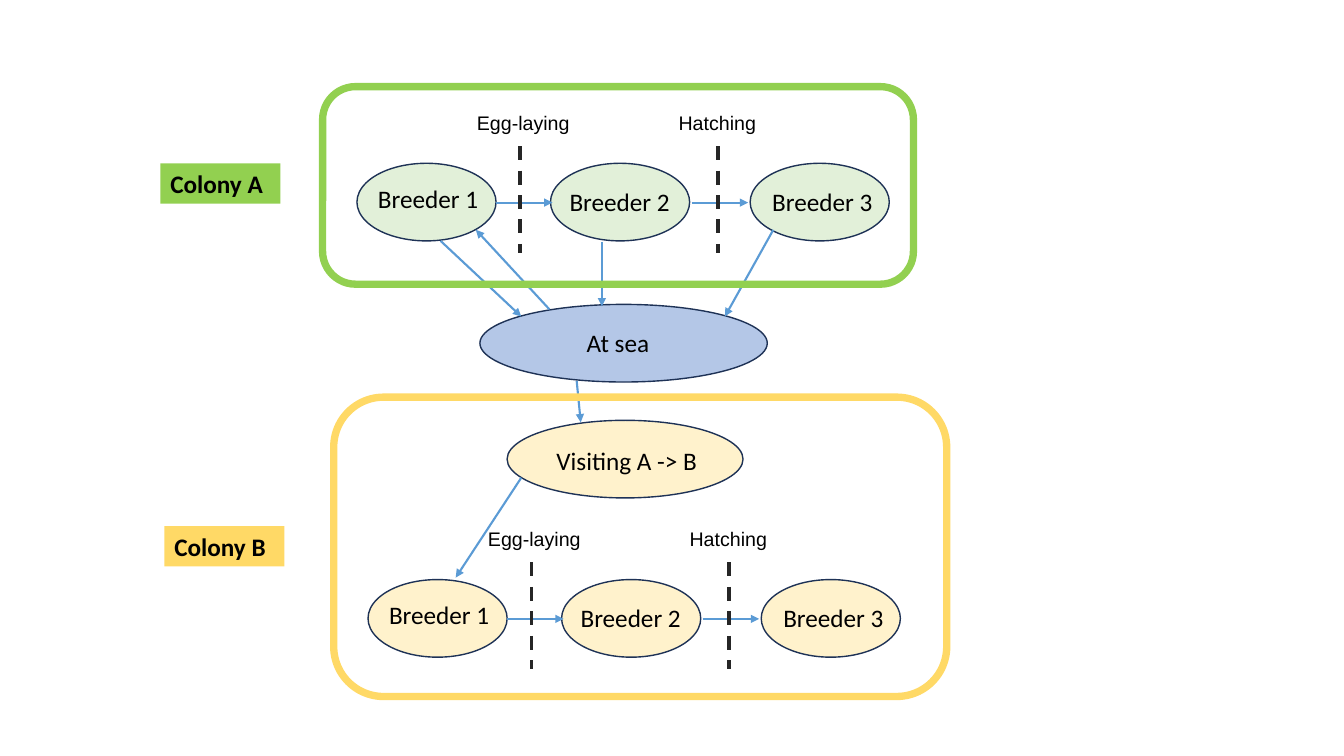
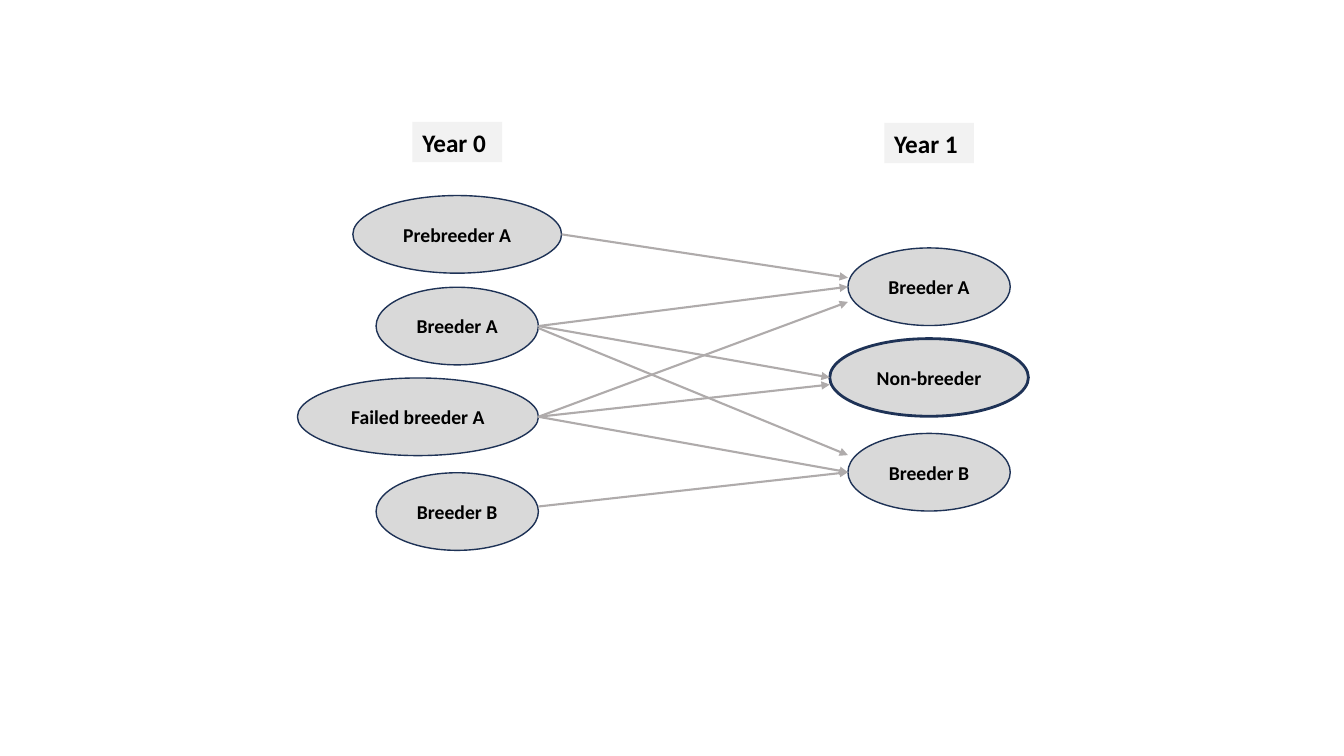
import pptx
import pptx.util
import pptx.dml.color
import pptx.enum.dml
import pptx.enum.shapes
import pptx.enum.text
import pptx.oxml.ns
import lxml.etree

Inches = pptx.util.Inches
Pt = pptx.util.Pt
RGBColor = pptx.dml.color.RGBColor
SHAPE = pptx.enum.shapes.MSO_SHAPE

BLACK = RGBColor(0x00, 0x00, 0x00)
NAVY = RGBColor(0x1E, 0x32, 0x56)
CHARCOAL = RGBColor(0x26, 0x26, 0x26)
ARROW_BLUE = RGBColor(0x5B, 0x9B, 0xD5)
ARROW_GREY = RGBColor(0xAF, 0xAB, 0xAB)
GREEN = RGBColor(0x92, 0xD0, 0x50)
PALE_GREEN = RGBColor(0xE2, 0xF0, 0xD9)
YELLOW = RGBColor(0xFF, 0xD9, 0x66)
PALE_YELLOW = RGBColor(0xFF, 0xF2, 0xCC)
SEA_BLUE = RGBColor(0xB4, 0xC7, 0xE7)
STATE_GREY = RGBColor(0xD9, 0xD9, 0xD9)
TAG_GREY = RGBColor(0xF2, 0xF2, 0xF2)

STATE_FONT = {"name": "Calibri", "size": Pt(18), "bold": False}
EVENT_FONT = {"name": "Arial", "size": Pt(14), "bold": False}
TAG_FONT = {"name": "Calibri", "size": Pt(18), "bold": True}
NODE_FONT = {"name": "Calibri", "size": Pt(14), "bold": True}

OVAL_HEIGHT = 0.77
BREEDER_WIDTH = 1.38
LABEL_HEIGHT = 0.4


def write(frame, wording, font_format):
    """Put one formatted run of black text into a text frame."""
    run = frame.paragraphs[0].add_run()
    run.text = wording
    for attribute, value in font_format.items():
        setattr(run.font, attribute, value)
    run.font.color.rgb = BLACK


def label(slide, wording, left, top, width, font_format, height=LABEL_HEIGHT, indent=0.1, fill=None):
    """Place a left-aligned text box, optionally on a coloured ground."""
    box = slide.shapes.add_textbox(Inches(left), Inches(top), Inches(width), Inches(height))
    frame = box.text_frame
    frame.word_wrap = True
    frame.auto_size = pptx.enum.text.MSO_AUTO_SIZE.SHAPE_TO_FIT_TEXT
    frame.margin_left = Inches(indent)
    write(frame, wording, font_format)
    if fill is not None:
        box.fill.solid()
        box.fill.fore_color.rgb = fill


def outline(slide, preset, left, top, width, height, line, weight, fill=None):
    """Place a preset shape with a coloured outline and an optional fill."""
    shape = slide.shapes.add_shape(preset, Inches(left), Inches(top), Inches(width), Inches(height))
    shape.shadow.inherit = False
    shape.line.color.rgb = line
    shape.line.width = Pt(weight)
    if fill is None:
        shape.fill.background()
    else:
        shape.fill.solid()
        shape.fill.fore_color.rgb = fill
    return shape


def oval(slide, left, top, width, fill, weight=1):
    """Place a state oval."""
    return outline(slide, SHAPE.OVAL, left, top, width, OVAL_HEIGHT, NAVY, weight, fill)


def segment(slide, start, end, color, weight):
    """Draw a straight line without a shadow."""
    points = [Inches(length) for length in (*start, *end)]
    line = slide.shapes.add_connector(pptx.enum.shapes.MSO_CONNECTOR.STRAIGHT, *points)
    line.line.color.rgb = color
    line.line.width = Pt(weight)
    properties = line._element.spPr
    lxml.etree.SubElement(properties, pptx.oxml.ns.qn("a:effectLst"))
    return line


def arrow(slide, start, end, color):
    """Draw a straight line with a triangular head at its end."""
    shaft = segment(slide, start, end, color, 1.5)
    stroke = shaft.line._get_or_add_ln()
    lxml.etree.SubElement(stroke, pptx.oxml.ns.qn("a:tailEnd"), type="triangle")


def breeding_cycle(slide, left, top, fill):
    """Place three breeder states parted by egg-laying and hatching."""
    middle = top + 0.96
    breeders = [(0, 0.11, 0.15), (1.92, 0.09, 0.18), (3.9, 0.12, 0.18)]
    for number, (offset, label_x, label_y) in enumerate(breeders, 1):
        oval(slide, left + offset, top + 0.57, BREEDER_WIDTH, fill)
        label(slide, f"Breeder {number}", left + offset + label_x, top + 0.57 + label_y, 1.51, STATE_FONT)
    for event, event_x, arrow_x, divider_x in [("Egg-laying", 0.98, 1.38, 1.62), ("Hatching", 2.98, 3.32, 3.58)]:
        arrow(slide, (left + arrow_x, middle), (left + arrow_x + 0.56, middle), ARROW_BLUE)
        divider = segment(slide, (left + divider_x, top + 0.4), (left + divider_x, top + 1.46), CHARCOAL, 2.5)
        divider.line.dash_style = pptx.enum.dml.MSO_LINE.DASH
        label(slide, event, left + event_x, top, 1.63, EVENT_FONT, 0.34, 0.21)


def colony_slide(slide):
    """Draw the movements from colony A over the sea to colony B."""
    breeding_cycle(slide, 3.54, 1.05, PALE_GREEN)
    breeding_cycle(slide, 3.65, 5.18, PALE_YELLOW)
    oval(slide, 4.76, 3.02, 2.85, SEA_BLUE)
    label(slide, "At sea", 5.72, 3.2, 0.92, STATE_FONT)
    oval(slide, 5.03, 4.17, 2.34, PALE_YELLOW)
    label(slide, "Visiting A -> B", 5.42, 4.37, 1.94, STATE_FONT)
    label(slide, "Colony A", 1.59, 1.62, 1.19, TAG_FONT, fill=GREEN)
    label(slide, "Colony B", 1.63, 5.22, 1.19, TAG_FONT, fill=YELLOW)
    movements = [
        ((4.37, 2.39), (5.17, 3.14)),
        ((5.45, 3.07), (4.72, 2.28)),
        ((5.97, 2.4), (5.97, 3.04)),
        ((7.67, 2.28), (7.19, 3.14)),
        ((5.72, 3.78), (5.76, 4.19)),
        ((5.17, 4.74), (4.52, 5.73)),
    ]
    for start, end in movements:
        arrow(slide, start, end, ARROW_BLUE)
    outline(slide, SHAPE.ROUNDED_RECTANGLE, 3.2, 0.86, 5.86, 1.96, GREEN, 5.25)
    outline(slide, SHAPE.ROUNDED_RECTANGLE, 3.31, 3.94, 6.08, 2.97, YELLOW, 5.25)


def year_column(slide, year, left, top, tag_x, states):
    """Place a year tag over its states and return each state's left, right and middle."""
    sides = {}
    for state, x, y, width, weight in states:
        node = oval(slide, left + x, top + y, width, STATE_GREY, weight)
        node.text_frame.vertical_anchor = pptx.enum.text.MSO_ANCHOR.MIDDLE
        write(node.text_frame, state, NODE_FONT)
        node.text_frame.paragraphs[0].alignment = pptx.enum.text.PP_ALIGN.CENTER
        sides[state] = (left + x, left + x + width, top + y + OVAL_HEIGHT / 2)
    label(slide, year, left + tag_x, top, 0.89, TAG_FONT, fill=TAG_GREY)
    return sides


def transition_slide(slide):
    """Draw the transitions between states from year 0 to year 1."""
    before = year_column(slide, "Year 0", 2.95, 1.21, 1.14, [
        ("Prebreeder A", 0.55, 0.73, 2.07, 1),
        ("Breeder A", 0.78, 1.64, 1.61, 1),
        ("Failed breeder A", 0, 2.54, 2.39, 1),
        ("Breeder B", 0.78, 3.48, 1.61, 1),
    ])
    after = year_column(slide, "Year 1", 8.23, 1.22, 0.54, [
        ("Breeder A", 0.18, 1.24, 1.61, 1),
        ("Non-breeder", 0, 2.14, 1.97, 2),
        ("Breeder B", 0.18, 3.08, 1.61, 1),
    ])
    transitions = [
        ("Prebreeder A", "Breeder A", 0, -0.09),
        ("Breeder A", "Breeder A", 0, 0),
        ("Breeder A", "Non-breeder", 0, 0),
        ("Breeder A", "Breeder B", 0.02, -0.17),
        ("Failed breeder A", "Breeder A", 0, 0.15),
        ("Failed breeder A", "Non-breeder", 0, 0.07),
        ("Failed breeder A", "Breeder B", 0, 0),
        ("Breeder B", "Breeder B", -0.05, 0),
    ]
    for origin, target, start_shift, end_shift in transitions:
        _, right, origin_middle = before[origin]
        left, _, target_middle = after[target]
        arrow(slide, (right, origin_middle + start_shift), (left, target_middle + end_shift), ARROW_GREY)


def main():
    """Build and save the two slides."""
    deck = pptx.Presentation()
    deck.slide_width = Inches(13.33)
    deck.slide_height = Inches(7.5)
    for draw in (colony_slide, transition_slide):
        draw(deck.slides.add_slide(deck.slide_layouts[6]))
    deck.save("out.pptx")


if __name__ == "__main__":
    main()
